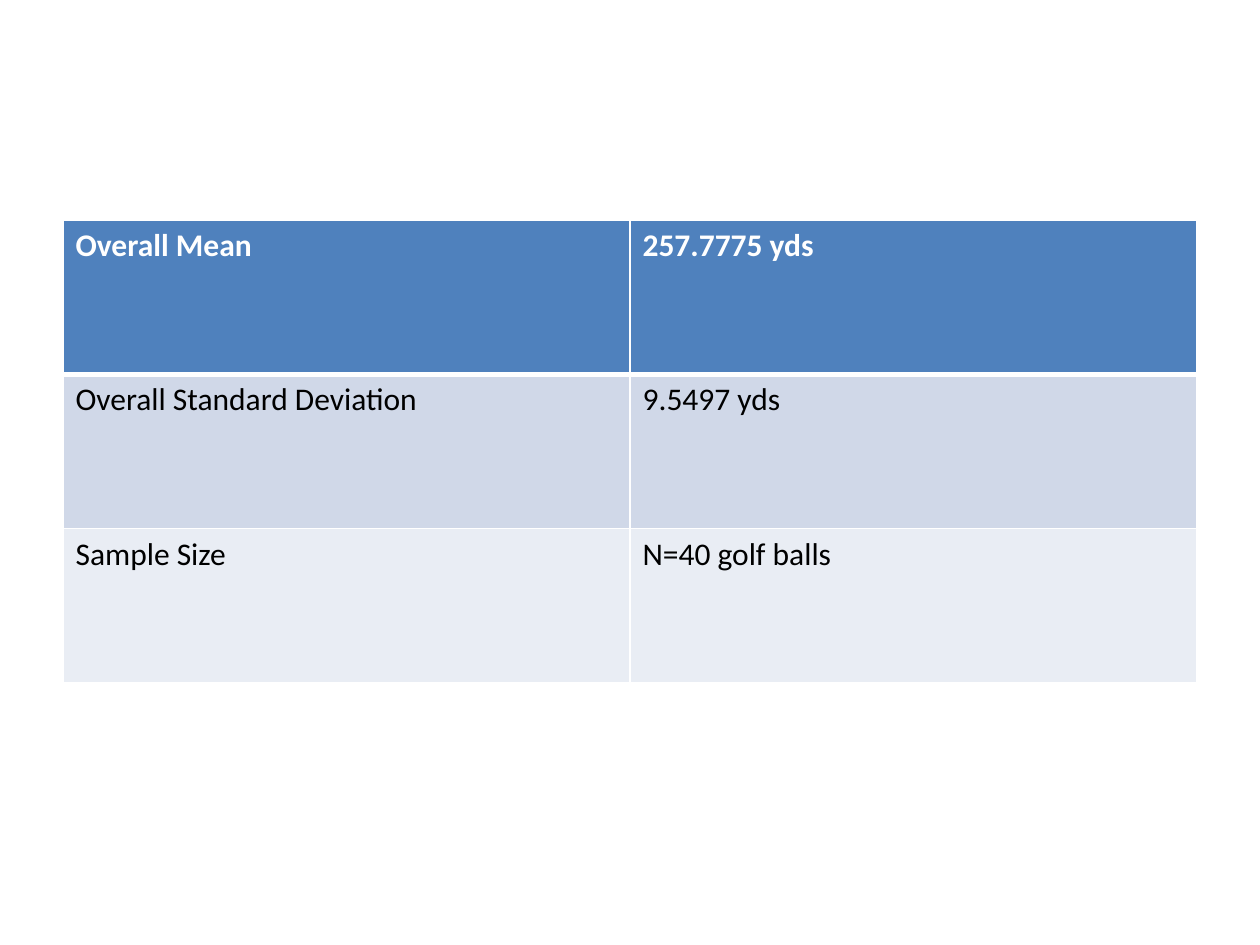
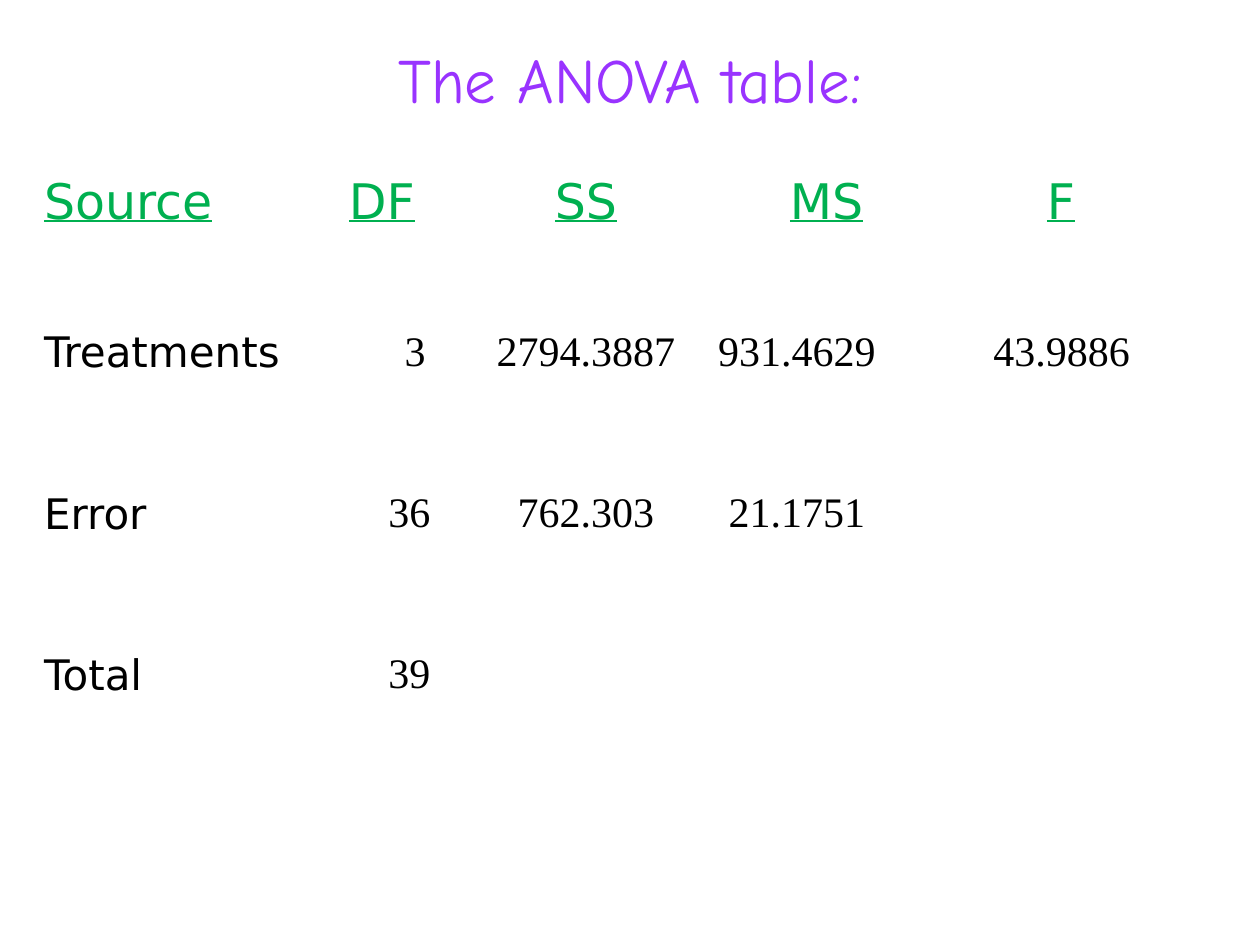
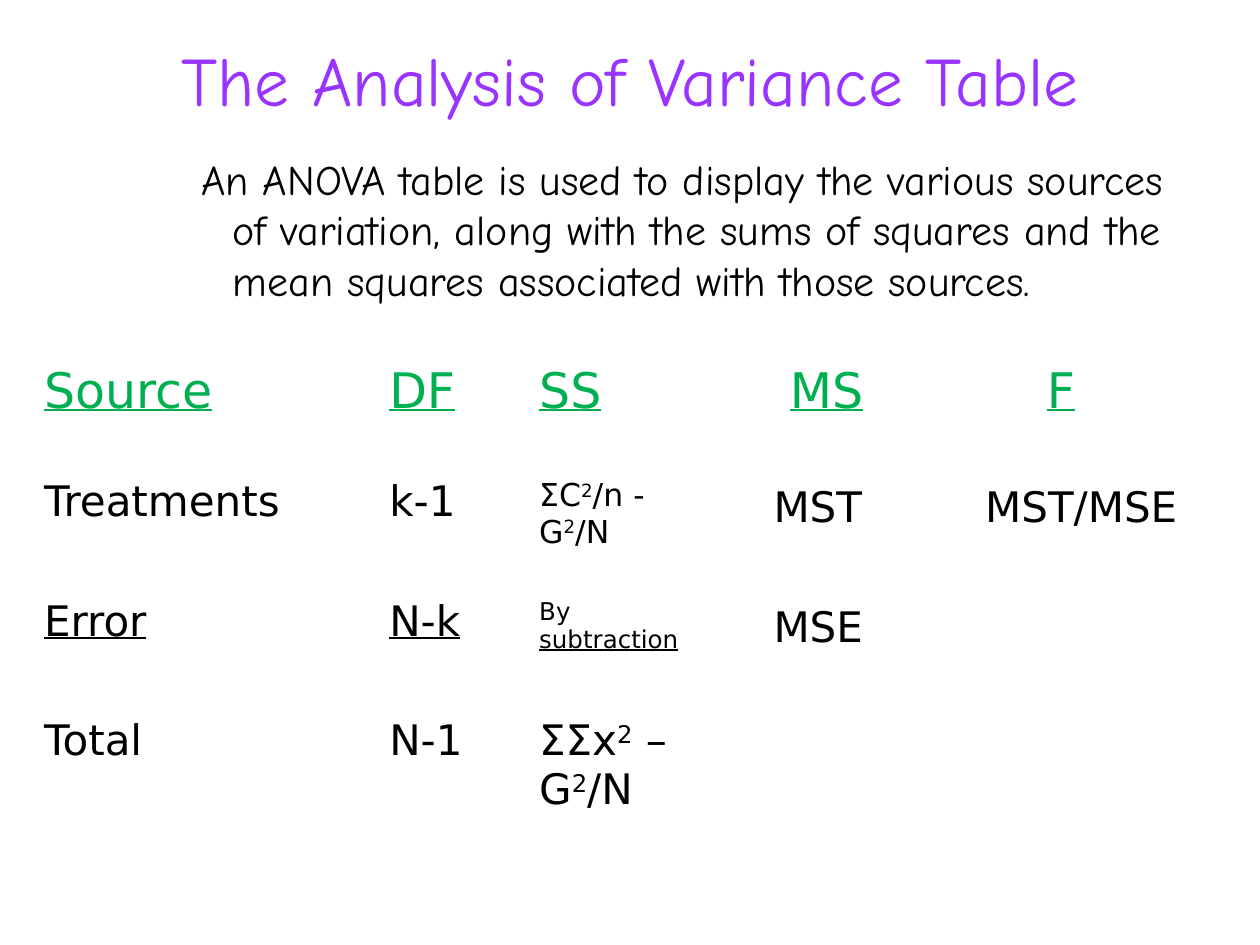
from dataclasses import dataclass
from functools import partial
from lxml.etree import SubElement
from pptx import Presentation
from pptx.dml.color import RGBColor
from pptx.enum.text import MSO_ANCHOR, PP_ALIGN
from pptx.oxml.ns import qn
from pptx.util import Inches, Pt

COLORS = {
    "title": "9933FF", "heading": "00B050", "ink": "000000", "white": "FFFFFF",
    "header": "4F81BD", "band": "D0D8E8", "pale": "E9EDF4",
}
WIDTH, HEIGHT = 10, 7.5
SANS, SERIF, COMIC, BODY = "DejaVu Sans", "Times New Roman", "Comic Neue", "Calibri"
CELL_MARGIN, CELL_TOP = 0.1, 0.05


@dataclass
class Cell:
    text: str = ""
    font: str = SANS
    size: float = 24
    color: str = "ink"
    bold: bool = False
    underline: bool = False
    align: PP_ALIGN = PP_ALIGN.LEFT
    indent: float = 0
    drop: float = 0
    fill: str = ""
    borders: tuple = ()


Heading = partial(Cell, size=28, color="heading", underline=True)
Number = partial(Cell, font=SERIF, align=PP_ALIGN.CENTER)
Mean = partial(Cell, drop=0.05)

SUMMARY = [
    ("Overall Mean", "257.7775 yds"),
    ("Overall Standard Deviation", "9.5497 yds"),
    ("Sample Size", "N=40 golf balls"),
]
SUMMARY_FILLS = ["header", "band", "pale"]

LAST_HEADINGS = [Heading("MS", indent=0.62), Heading("F", indent=1.11)]

RESULTS_TITLE = "The ANOVA table:"
RESULTS = [
    [Heading("Source"), Heading("DF"), Heading("SS", align=PP_ALIGN.CENTER), *LAST_HEADINGS],
    [Cell("Treatments"), Number("3", indent=0.17), Number("2794.3887"),
     Number("931.4629"), Number("43.9886")],
    [Cell("Error"), Number("36", indent=0.08), Number("762.303"), Number("21.1751"), Cell()],
    [Cell("Total"), Number("39", indent=0.08), Cell(), Cell(), Cell()],
]

FORMULAS_TITLE = "The Analysis of Variance Table"
FORMULAS_INTRO = (
    "An ANOVA table is used to display the various sources of variation, along with "
    "the sums of squares and the mean squares associated with those sources."
)
FORMULAS = [
    [Heading("Source"), Heading("DF"), Heading("SS"), *LAST_HEADINGS],
    [Cell("Treatments"), Cell("k-1"), Cell("ΣC^2^/n - G^2^/N", size=18),
     Mean("MST", indent=0.49), Mean("MST/MSE", indent=0.62)],
    [Cell("Error", underline=True), Cell("N-k", underline=True),
     Cell("By _subtraction_", size=14), Mean("MSE", indent=0.49), Cell()],
    [Cell("Total"), Cell("N-1"), Cell("ΣΣx^2^ – G^2^/N"), Cell(), Cell()],
]


def rgb(name):
    return RGBColor.from_string(COLORS[name])


def write(paragraph, content):
    for position, part in enumerate(content.text.split("_")):
        for level, piece in enumerate(part.split("^")):
            if piece:
                run = paragraph.add_run()
                run.text = piece
                if position % 2:
                    run.font.underline = True
                if level % 2:
                    run._r.get_or_add_rPr().set("baseline", "30000")
    font = paragraph.font
    font.name, font.size = content.font, Pt(content.size)
    font.bold, font.underline = content.bold, content.underline
    font.color.rgb = rgb(content.color)
    paragraph.alignment = content.align


def set_borders(cell, widths):
    properties = cell._tc.get_or_add_tcPr()
    for index, (side, width) in enumerate(zip("LRTB", widths)):
        line = SubElement(properties, qn(f"a:ln{side}"), w=str(Pt(width)))
        fill = SubElement(line, qn("a:solidFill"))
        SubElement(fill, qn("a:srgbClr"), val=COLORS["white"])
        properties.insert(index, line)


def add_grid(slide, rows, left, top, column_widths, row_heights):
    table = slide.shapes.add_table(
        len(rows), len(column_widths), Inches(left), Inches(top),
        Inches(sum(column_widths)), Inches(sum(row_heights))).table
    table.horz_banding = False
    table.first_row = False
    for column, width in zip(table.columns, column_widths):
        column.width = Inches(width)
    for row, height, contents in zip(table.rows, row_heights, rows):
        row.height = Inches(height)
        for cell, content in zip(row.cells, contents):
            cell.margin_left = Inches(CELL_MARGIN + content.indent)
            cell.margin_top = Inches(CELL_TOP + content.drop)
            if content.fill:
                cell.fill.solid()
                cell.fill.fore_color.rgb = rgb(content.fill)
            else:
                cell.fill.background()
            set_borders(cell, content.borders)
            write(cell.text_frame.paragraphs[0], content)


def add_text(slide, content, left, top, width, height, anchor):
    frame = slide.shapes.add_textbox(
        Inches(left), Inches(top), Inches(width), Inches(height)).text_frame
    frame.word_wrap = True
    frame.vertical_anchor = anchor
    write(frame.paragraphs[0], content)
    return frame.paragraphs[0]


def add_title(slide, text, size):
    title = Cell(text, font=COMIC, size=size, color="title", align=PP_ALIGN.CENTER)
    add_text(slide, title, WIDTH * 0.05, 0, WIDTH * 0.9, HEIGHT / 6, MSO_ANCHOR.MIDDLE)


presentation = Presentation()
presentation.slide_width, presentation.slide_height = Inches(WIDTH), Inches(HEIGHT)
summary_slide, results_slide, formulas_slide = [
    presentation.slides.add_slide(presentation.slide_layouts[6]) for _ in range(3)]

summary_rows = [
    [Cell(text, font=BODY, size=18, fill=fill, bold=fill == "header",
          color="white" if fill == "header" else "ink",
          borders=(1, 1, 3 if fill == "band" else 1, 3 if fill == "header" else 1))
     for text in texts]
    for texts, fill in zip(SUMMARY, SUMMARY_FILLS)]
add_grid(summary_slide, summary_rows, WIDTH * 0.05, 1.75, [WIDTH * 0.45] * 2, [3.67 / 3] * 3)

add_title(results_slide, RESULTS_TITLE, 36)
add_grid(results_slide, RESULTS, WIDTH * 0.025, 1.33,
         [2.42, 1.08, 1.8, 1.55, 2.65], [1.23] + [1.28] * 3)

intro = add_text(formulas_slide, Cell(FORMULAS_INTRO, font=COMIC),
                 WIDTH * 0.05, 1.17, WIDTH * 0.9, HEIGHT * 0.72, MSO_ANCHOR.TOP)
intro_properties = intro._p.get_or_add_pPr()
intro_properties.set("marL", str(Inches(1.25)))
intro_properties.set("indent", str(Inches(-0.25)))
add_title(formulas_slide, FORMULAS_TITLE, 39.6)
add_grid(formulas_slide, FORMULAS, WIDTH * 0.025, 2.83,
         [2.74, 1.19, 1.37, 1.55, 2.65], [0.91] + [0.95] * 3)

presentation.save("out.pptx")
